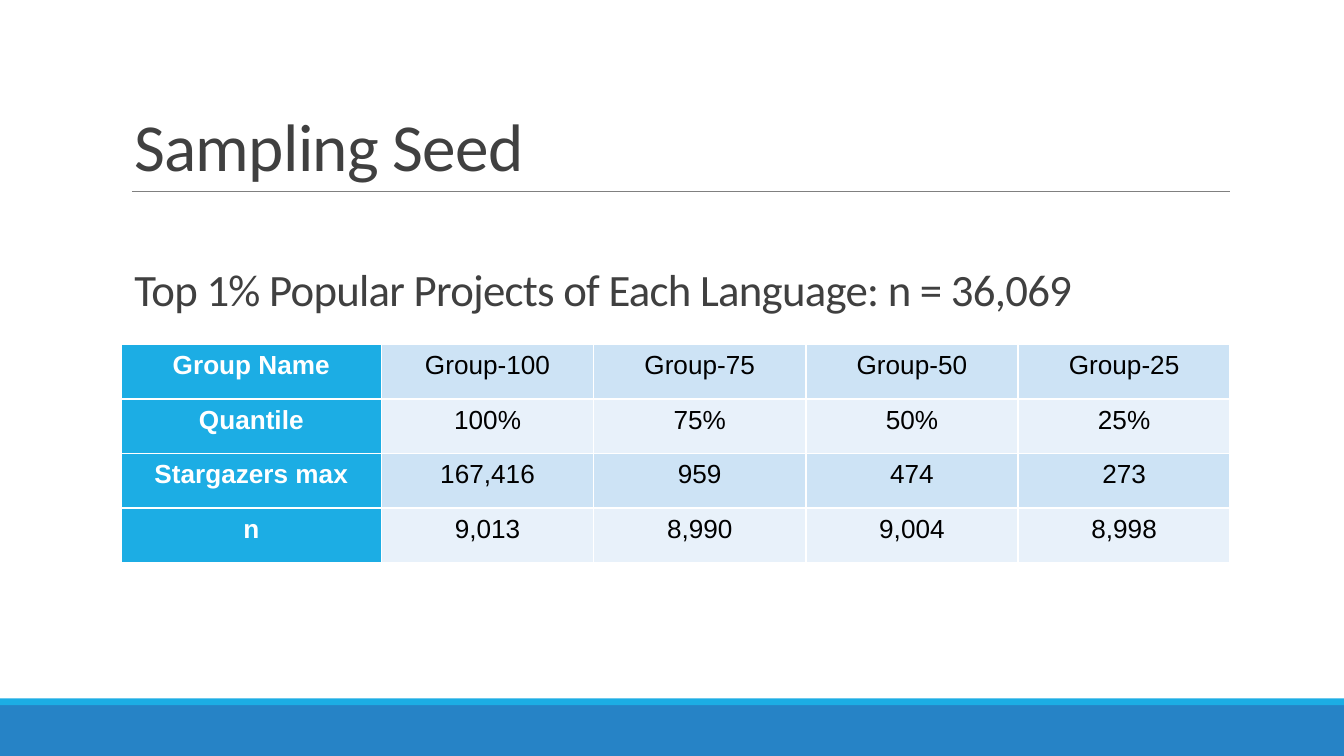
"""Build the Sampling Seed slide with its table of project groups."""
import dataclasses

import lxml.etree
import pptx
import pptx.dml.color
import pptx.enum.shapes
import pptx.enum.text
import pptx.oxml.ns
import pptx.util

Cm = pptx.util.Cm
Pt = pptx.util.Pt
qn = pptx.oxml.ns.qn


def color(value):
    return pptx.dml.color.RGBColor.from_string(value)


@dataclasses.dataclass(frozen=True)
class Theme:
    footer: str = "2683C6"
    accent: str = "1CADE4"
    rule: str = "808080"
    heading: str = "404040"
    body: str = "000000"
    white: str = "FFFFFF"
    bands: tuple = ("CDE3F5", "E8F1FA")
    heading_font: str = "Calibri"
    table_font: str = "Arial"
    title_size: int = 36
    subtitle_size: int = 24
    table_size: int = 14


THEME = Theme()
LEFT, WIDTH = 2.29, 20.96
SLIDE_WIDTH, SLIDE_HEIGHT = 25.4, 14.29
FIRST_COLUMN, OTHER_COLUMN, ROW_HEIGHT = 4.92, 4.01, 1.03
ROWS = (
    ("Group Name", "Group-100", "Group-75", "Group-50", "Group-25"),
    ("Quantile", "100%", "75%", "50%", "25%"),
    ("Stargazers max", "167,416", "959", "474", "273"),
    ("n", "9,013", "8,990", "9,004", "8,998"),
)


def apply_format(target, values):
    for name, value in values.items():
        setattr(target, name, value)


def write_text(frame, text, font, fill, paragraph_format):
    para = frame.paragraphs[0]
    apply_format(para, paragraph_format)
    span = para.add_run()
    span.text = text
    apply_format(span.font, font)
    span.font.color.rgb = color(fill)
    return span


def add_band(page, top, height, fill):
    band = page.shapes.add_shape(
        pptx.enum.shapes.MSO_SHAPE.RECTANGLE,
        Cm(0), Cm(top), Cm(SLIDE_WIDTH), Cm(height))
    band.shadow.inherit = False
    band.fill.solid()
    band.fill.fore_color.rgb = color(fill)
    band.line.fill.background()


def add_rule(page, left, right, top):
    rule = page.shapes.add_connector(
        pptx.enum.shapes.MSO_CONNECTOR.STRAIGHT,
        Cm(left), Cm(top), Cm(right), Cm(top))
    rule.line.color.rgb = color(THEME.rule)
    rule.line.width = Pt(0.5)
    lxml.etree.SubElement(rule._element.spPr, qn("a:effectLst"))


def add_heading(page, text, top, height, size):
    box = page.shapes.add_textbox(Cm(LEFT), Cm(top), Cm(WIDTH), Cm(height))
    apply_format(box.text_frame, {
        "word_wrap": True,
        "vertical_anchor": pptx.enum.text.MSO_ANCHOR.BOTTOM,
    })
    font = {"name": THEME.heading_font, "size": Pt(size)}
    span = write_text(box.text_frame, text, font, THEME.heading,
                      {"line_spacing": 0.85})
    span._r.get_or_add_rPr().set("spc", "-40")


def add_borders(cell):
    properties = cell._tc.get_or_add_tcPr()
    for position, side in enumerate(("a:lnL", "a:lnR", "a:lnT", "a:lnB")):
        border = lxml.etree.Element(qn(side), w=str(Pt(1)))
        fill = lxml.etree.SubElement(border, qn("a:solidFill"))
        lxml.etree.SubElement(fill, qn("a:srgbClr"), val=THEME.white)
        properties.insert(position, border)


def fill_cell(cell, text, row, is_label):
    cell.fill.solid()
    cell.fill.fore_color.rgb = color(
        THEME.accent if is_label else THEME.bands[row % 2])
    font = {"name": THEME.table_font, "size": Pt(THEME.table_size),
            "bold": is_label}
    write_text(cell.text_frame, text, font,
               THEME.white if is_label else THEME.body,
               {"alignment": pptx.enum.text.PP_ALIGN.CENTER})
    add_borders(cell)


def add_group_table(page, top):
    table = page.shapes.add_table(
        len(ROWS), len(ROWS[0]), Cm(LEFT), Cm(top),
        Cm(WIDTH), Cm(ROW_HEIGHT * len(ROWS))).table
    apply_format(table, {"first_row": False, "first_col": True})
    for index, column in enumerate(table.columns):
        column.width = Cm(OTHER_COLUMN if index else FIRST_COLUMN)
    for row, texts in enumerate(ROWS):
        table.rows[row].height = Cm(ROW_HEIGHT)
        for column, text in enumerate(texts):
            fill_cell(table.cell(row, column), text, row, column == 0)


def main():
    deck = pptx.Presentation()
    apply_format(deck, {"slide_width": Cm(SLIDE_WIDTH),
                        "slide_height": Cm(SLIDE_HEIGHT)})
    page = deck.slides.add_slide(deck.slide_layouts[6])
    add_band(page, 13.33, 0.96, THEME.footer)
    add_band(page, 13.2, 0.13, THEME.accent)
    add_rule(page, 2.49, LEFT + WIDTH, 3.62)
    add_heading(page, "Sampling Seed", 0.61, 3.02, THEME.title_size)
    add_group_table(page, 6.51)
    add_heading(page, "Top 1% Popular Projects of Each Language: n = 36,069",
                3.83, 2.26, THEME.subtitle_size)
    deck.save("out.pptx")


if __name__ == "__main__":
    main()
